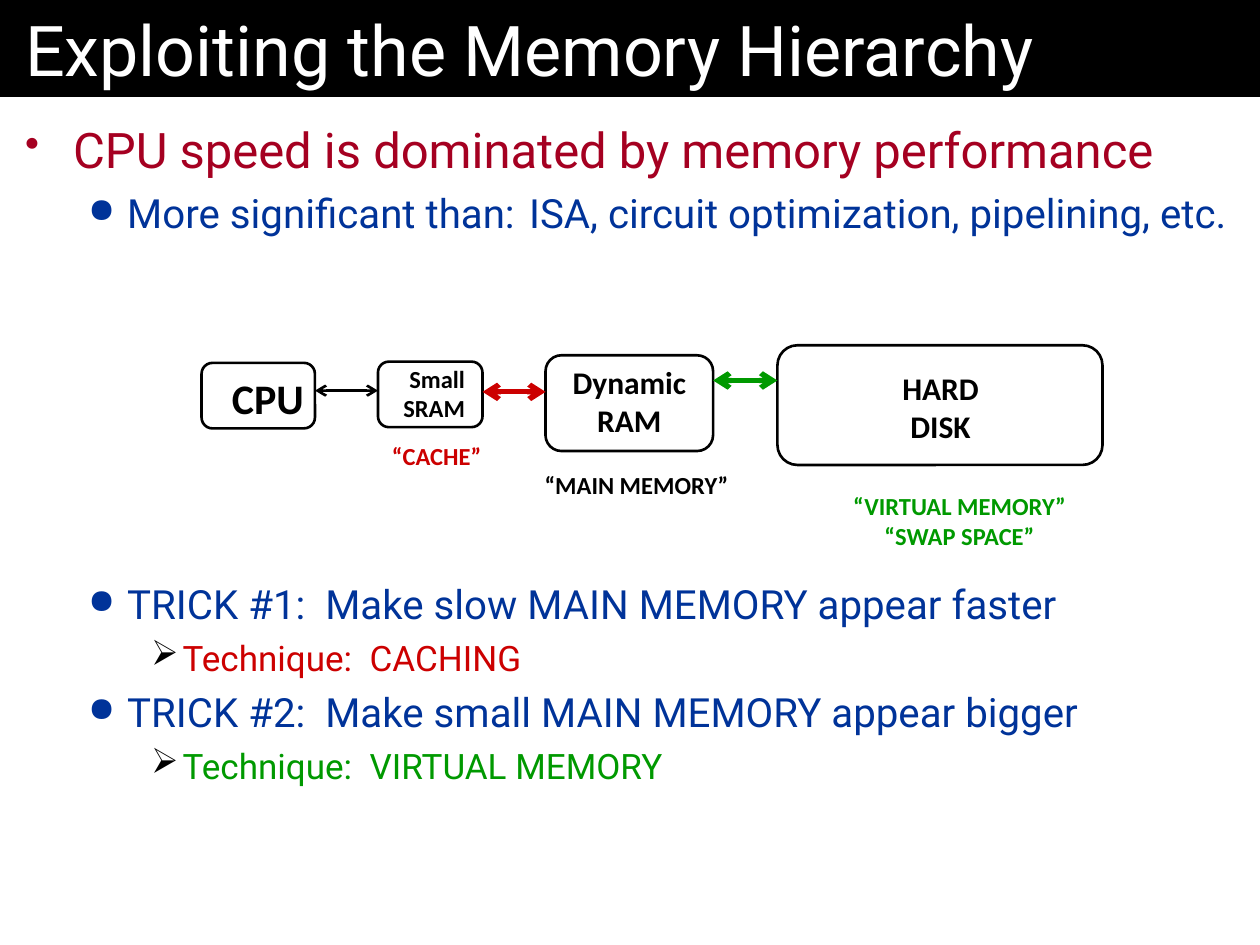
from dataclasses import dataclass

from lxml import etree
from pptx import Presentation
from pptx import util as u
from pptx.dml import color
from pptx.enum import shapes, text
from pptx.oxml import ns


@dataclass(frozen=True)
class Theme:
    black: str = "000000"
    white: str = "FFFFFF"
    crimson: str = "A50021"
    blue: str = "003399"
    red: str = "CC0000"
    green: str = "009900"
    body_font: str = "Roboto"
    diagram_font: str = "Calibri"
    title_size: int = 40
    space_ratio: float = 0.234  # a fifth of the line height


@dataclass(frozen=True)
class Level:
    size: int
    margin: float
    hanging: float
    bullet: str
    bullet_color: str
    bullet_percent: int


@dataclass(frozen=True)
class Point:
    level: Level
    words: str
    color: str


@dataclass(frozen=True)
class Unit:
    left: float
    top: float
    width: float
    height: float


@dataclass(frozen=True)
class Label:
    left: float
    top: float
    width: float
    height: float
    lines: tuple[str, ...]
    size: int
    color: str
    align: text.PP_ALIGN


@dataclass(frozen=True)
class Link:
    start: float
    end: float
    y: float
    color: str
    weight: float


THEME = Theme()
RIGHT, CENTER = text.PP_ALIGN.RIGHT, text.PP_ALIGN.CENTER

HEADLINE = Level(28, 0.38, 0.38, "•", THEME.crimson, 85)
DETAIL = Level(23, 0.81, 0.31, "●", THEME.blue, 85)
TECHNIQUE = Level(20, 1.25, 0.25, "➢", THEME.black, 100)

CLAIM = (
    Point(HEADLINE, "CPU speed is dominated by memory performance", THEME.crimson),
    Point(DETAIL, "More significant than:\tISA, circuit optimization, pipelining, etc.", THEME.blue),
)
TRICKS = (
    Point(DETAIL, "TRICK #1:  Make slow MAIN MEMORY appear faster", THEME.blue),
    Point(TECHNIQUE, "Technique:  CACHING", THEME.red),
    Point(DETAIL, "TRICK #2:  Make small MAIN MEMORY appear bigger", THEME.blue),
    Point(TECHNIQUE, "Technique:  VIRTUAL MEMORY", THEME.green),
)

CPU = Unit(1.6, 2.88, 0.9, 0.52)
SRAM = Unit(3, 2.87, 0.83, 0.52)
DRAM = Unit(4.33, 2.82, 1.33, 0.76)
DISK = Unit(6.17, 2.74, 2.58, 0.95)

LABELS = (
    Label(1.6, 2.91, 0.91, 0.51, ("CPU",), 24, THEME.black, RIGHT),
    Label(2.99, 2.84, 0.8, 0.57, ("Small", "SRAM"), 14, THEME.black, RIGHT),
    Label(4.37, 2.83, 1.25, 0.71, ("Dynamic", "RAM"), 18, THEME.black, CENTER),
    Label(7, 2.88, 0.93, 0.71, ("HARD", "DISK"), 18, THEME.black, CENTER),
    Label(2.81, 3.45, 1.11, 0.34, ("“CACHE”",), 14, THEME.red, RIGHT),
    Label(4.04, 3.68, 1.84, 0.34, ("“MAIN MEMORY”",), 14, THEME.black, RIGHT),
    Label(6.52, 3.85, 2.19, 0.57, ("“VIRTUAL MEMORY”", "“SWAP SPACE”"), 14, THEME.green, CENTER),
)
LINKS = (
    Link(CPU.left + CPU.width, SRAM.left, 3.1, THEME.black, 1.5),
    Link(SRAM.left + SRAM.width, DRAM.left, 3.11, THEME.red, 3),
    Link(DRAM.left + DRAM.width, DISK.left, 3.02, THEME.green, 3),
)


def rgb(value: str) -> color.RGBColor:
    return color.RGBColor.from_string(value)


def add_run(paragraph, words: str, font: str, size: float, ink: str, bold: bool = False) -> None:
    run = paragraph.add_run()
    run.text = words
    run.font.name, run.font.size, run.font.bold = font, u.Pt(size), bold
    run.font.color.rgb = rgb(ink)


def paragraph_at(frame, index: int):
    return frame.add_paragraph() if index else frame.paragraphs[0]


def set_insets(frame, side: float, top: float) -> None:
    frame.margin_left = frame.margin_right = u.Inches(side)
    frame.margin_top = frame.margin_bottom = u.Inches(top)


def add_title(slide, words: str) -> None:
    banner = slide.shapes.add_shape(
        shapes.MSO_SHAPE.RECTANGLE, 0, 0, u.Inches(10), u.Inches(0.77))
    banner.shadow.inherit = False
    banner.fill.solid()
    banner.fill.fore_color.rgb = rgb(THEME.black)
    banner.line.fill.background()
    frame = banner.text_frame
    set_insets(frame, 0.2, 0.05)
    frame.word_wrap = True
    frame.vertical_anchor = text.MSO_ANCHOR.MIDDLE
    frame.paragraphs[0].alignment = text.PP_ALIGN.LEFT
    add_run(frame.paragraphs[0], words, THEME.body_font, THEME.title_size, THEME.white)


def set_bullet(paragraph, level: Level) -> None:
    props = paragraph._p.get_or_add_pPr()
    props.set("marL", str(u.Inches(level.margin)))
    props.set("indent", str(-u.Inches(level.hanging)))
    tint = etree.SubElement(props, ns.qn("a:buClr"))
    etree.SubElement(tint, ns.qn("a:srgbClr"), val=level.bullet_color)
    etree.SubElement(props, ns.qn("a:buSzPct"), val=str(level.bullet_percent * 1000))
    etree.SubElement(props, ns.qn("a:buChar"), char=level.bullet)


def add_points(slide, top: float, height: float, points: tuple[Point, ...]) -> None:
    box = slide.shapes.add_textbox(0, u.Inches(top), u.Inches(10), u.Inches(height))
    frame = box.text_frame
    frame.word_wrap = True
    set_insets(frame, 0.2, 0.18)
    for index, point in enumerate(points):
        paragraph = paragraph_at(frame, index)
        size = point.level.size
        paragraph.space_before = u.Pt(round(size * THEME.space_ratio, 1) if index else 0)
        set_bullet(paragraph, point.level)
        add_run(paragraph, point.words, THEME.body_font, size, point.color)


def add_unit(slide, unit: Unit) -> None:
    outline = slide.shapes.add_shape(
        shapes.MSO_SHAPE.ROUNDED_RECTANGLE, u.Inches(unit.left), u.Inches(unit.top),
        u.Inches(unit.width), u.Inches(unit.height))
    outline.shadow.inherit = False
    outline.fill.background()
    outline.line.color.rgb = rgb(THEME.black)
    outline.line.width = u.Pt(1.5)


def add_label(slide, label: Label) -> None:
    box = slide.shapes.add_textbox(
        u.Inches(label.left), u.Inches(label.top), u.Inches(label.width), u.Inches(label.height))
    frame = box.text_frame
    frame.word_wrap = False
    frame.auto_size = text.MSO_AUTO_SIZE.SHAPE_TO_FIT_TEXT
    for index, line in enumerate(label.lines):
        paragraph = paragraph_at(frame, index)
        paragraph.alignment = label.align
        add_run(paragraph, line, THEME.diagram_font, label.size, label.color, bold=True)


def add_link(slide, link: Link) -> None:
    arrow = slide.shapes.add_connector(
        shapes.MSO_CONNECTOR.STRAIGHT, u.Inches(link.start), u.Inches(link.y),
        u.Inches(link.end), u.Inches(link.y))
    arrow.line.color.rgb = rgb(link.color)
    arrow.line.width = u.Pt(link.weight)
    for end in ("a:headEnd", "a:tailEnd"):
        etree.SubElement(arrow.line._get_or_add_ln(), ns.qn(end), type="arrow")
    etree.SubElement(arrow._element.spPr, ns.qn("a:effectLst"))


deck = Presentation()
deck.slide_width, deck.slide_height = u.Inches(10), u.Inches(7.5)
slide = deck.slides.add_slide(deck.slide_layouts[6])

# Title and bullet text
add_title(slide, "Exploiting the Memory Hierarchy")
add_points(slide, 0.77, 1.4, CLAIM)
add_points(slide, 4.42, 3.08, TRICKS)

# Memory hierarchy diagram
for unit in (CPU, SRAM, DRAM, DISK):
    add_unit(slide, unit)
for label in LABELS:
    add_label(slide, label)
for link in LINKS:
    add_link(slide, link)

deck.save("out.pptx")
